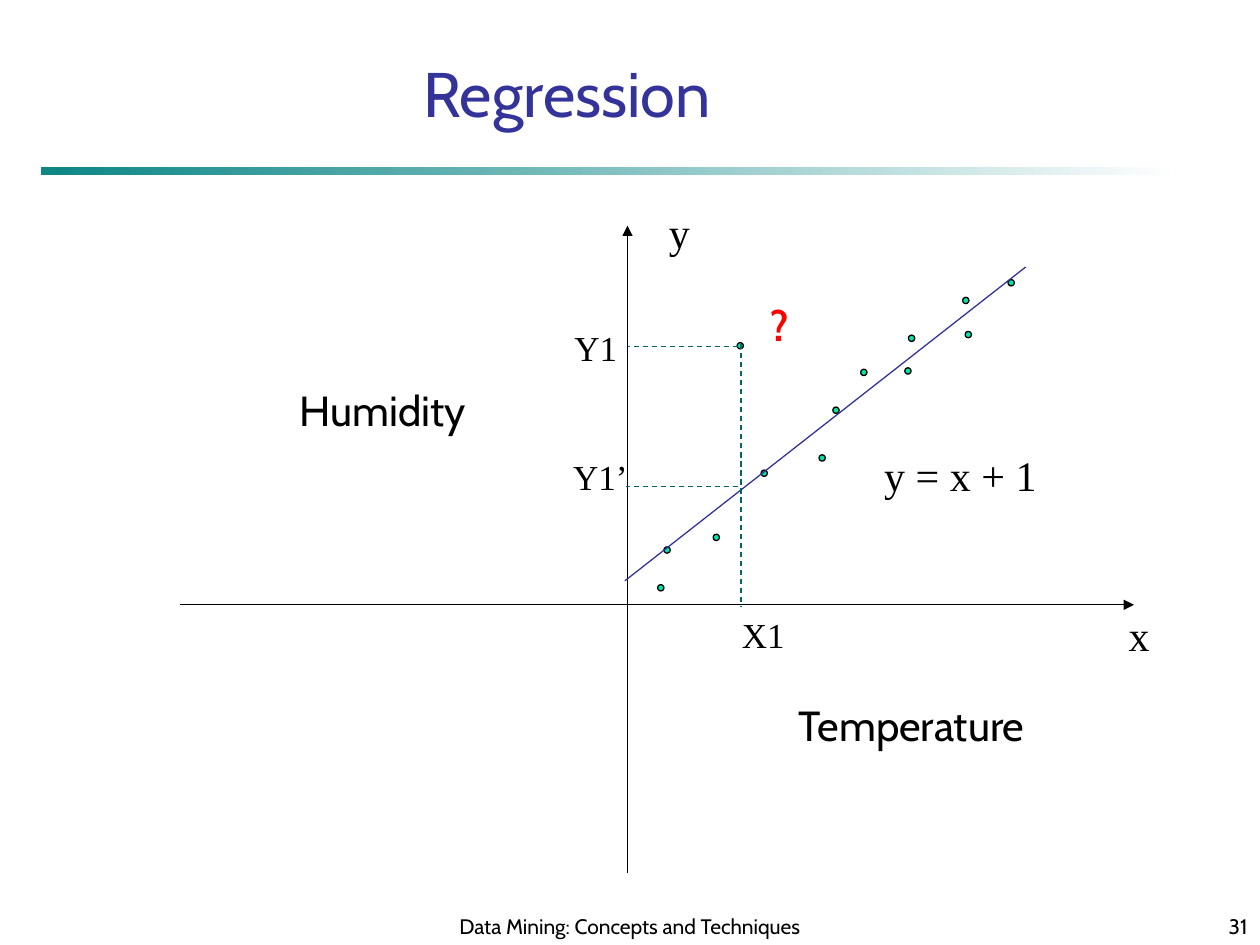
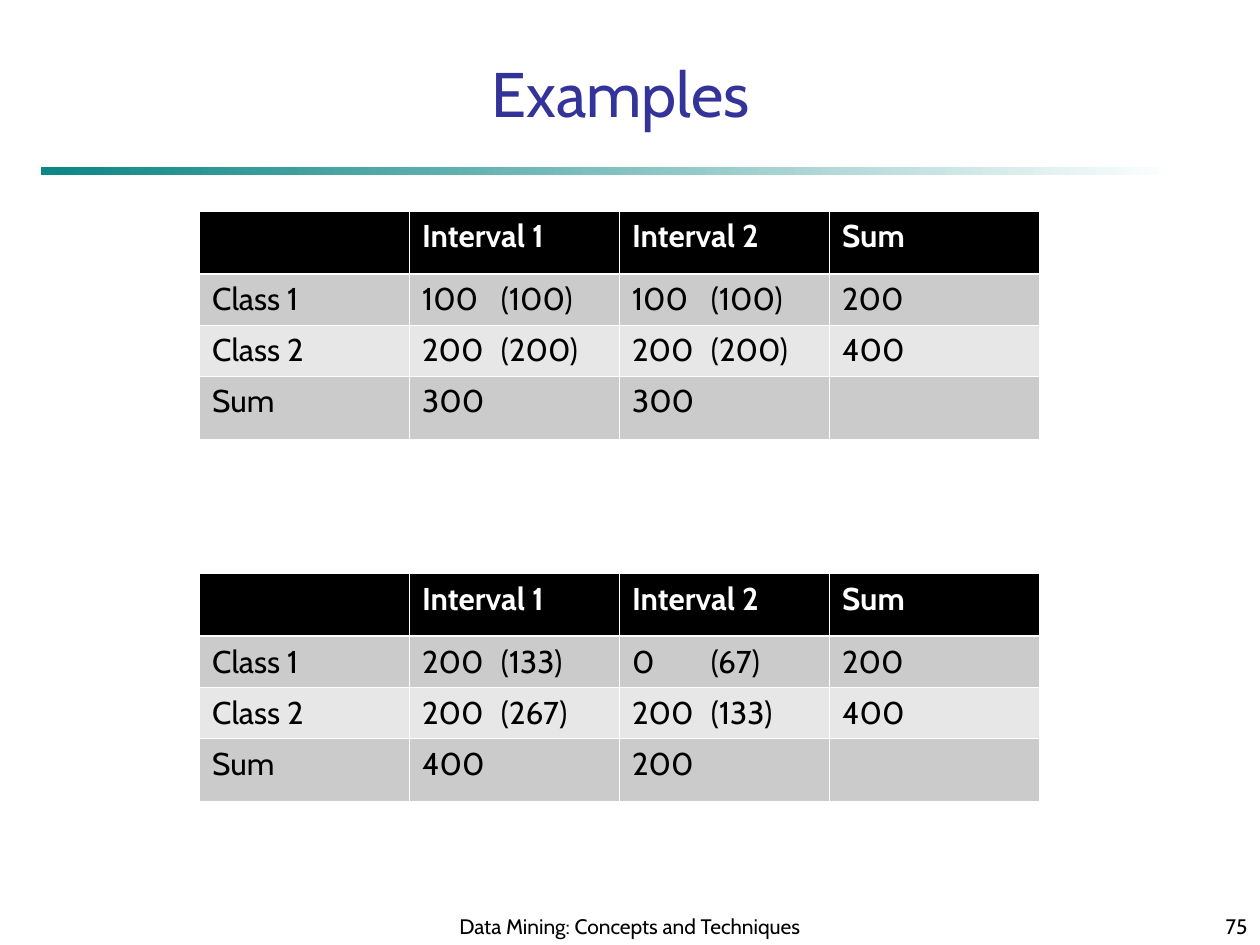
from dataclasses import dataclass

from pptx import Presentation
from pptx.dml.color import RGBColor
from pptx.enum.dml import MSO_LINE
from pptx.enum.shapes import MSO_CONNECTOR, MSO_SHAPE
from pptx.enum.text import MSO_ANCHOR, MSO_AUTO_SIZE, PP_ALIGN
from pptx.oxml.ns import qn
from pptx.oxml.xmlchemy import OxmlElement
from pptx.slide import Slide, SlideLayout
from pptx.util import Pt

STRAIGHT = MSO_CONNECTOR.STRAIGHT
RECTANGLE, OVAL = MSO_SHAPE.RECTANGLE, MSO_SHAPE.OVAL
DASH = MSO_LINE.DASH
BOTTOM = MSO_ANCHOR.BOTTOM
LEFT, CENTER, RIGHT = PP_ALIGN.LEFT, PP_ALIGN.CENTER, PP_ALIGN.RIGHT
FIXED, GROW = MSO_AUTO_SIZE.NONE, MSO_AUTO_SIZE.SHAPE_TO_FIT_TEXT

COLORS = {
    "text": "000000",
    "title": "333399",
    "band": "008080",
    "white": "FFFFFF",
    "dot": "00E4A8",
    "guide": "006666",
    "question": "FF0000",
    "header": "000000",
    "odd_row": "CBCBCB",
    "even_row": "E7E7E7",
}
SANS, SERIF = "Cabin", "Times New Roman"
FOOTER = "Data Mining: Concepts and Techniques"
HAIRLINE = 0.75

# Axes and guides of the regression plot
Y_AXIS_X, X_AXIS_Y = 358.6, 345.6
X1, Y1, Y1_FITTED = 423.4, 198, 277.9
GUIDE_START = X1 - 1.5
DOT_SIZE = 3.6
DOTS = [
    (468, 259.9), (434.9, 268.6), (421.2, 195.8), (407.5, 305.3), (475.9, 232.6),
    (491.8, 211), (379.4, 312.5), (517, 210.2), (519.1, 191.5), (551.5, 189.4),
    (375.8, 334.1), (550.1, 169.9), (576, 159.8),
]

# Contingency tables: a tab parts the observed from the expected count
TABLE_LEFT, COLUMN_WIDTH = 114, 120
ROW_HEIGHTS = [36, 29.2, 29.2, 36]
EXPECTED_STOP = 45
THIN, THICK = 0.45, 1.47
HEADINGS = ["", "Interval 1", "Interval 2", "Sum"]
CORRELATED_TOP, UNCORRELATED_TOP = 327.6, 120.5
UNCORRELATED = [
    HEADINGS,
    ["Class 1", "100\t(100)", "100\t(100)", "200"],
    ["Class 2", "200\t(200)", "200\t(200)", "400"],
    ["Sum", "300", "300", ""],
]
CORRELATED = [
    HEADINGS,
    ["Class 1", "200\t(133)", "0\t(67)", "200"],
    ["Class 2", "200\t(267)", "200\t(133)", "400"],
    ["Sum", "400", "200", ""],
]


@dataclass(frozen=True)
class Label:
    text: str
    left: float
    top: float
    width: float
    height: float = 36
    size: float = 24
    font: str = SERIF
    color: str = "text"
    bold: bool = False


@dataclass(frozen=True)
class Segment:
    start: tuple[float, float]
    end: tuple[float, float]
    color: str = "text"
    arrow: bool = False
    dashed: bool = False


SEGMENTS = [
    Segment((103, X_AXIS_Y), (648, X_AXIS_Y), arrow=True),
    Segment((Y_AXIS_X, 499), (Y_AXIS_X, 128.9), arrow=True),
    Segment((357.1, 331.9), (586.1, 152.6), "title"),
    Segment((X1, 196.6), (X1, 347), "guide", dashed=True),
    Segment((GUIDE_START, Y1), (Y_AXIS_X, Y1), "guide", dashed=True),
    Segment((GUIDE_START, Y1_FITTED), (357.8, Y1_FITTED), "guide", dashed=True),
]
LABELS = [
    Label("x", 637.9, 344.9, 26),
    Label("y", 375.1, 114.5, 26),
    Label("y = x + 1", 498.2, 253.4, 101.5),
    Label("X1", 416.9, 347, 39, 31.5, 20),
    Label("Y1", 321.1, 182.9, 39, 31.5, 20),
    Label("Y1’", 320.4, 257, 45.4, 31.5, 20),
    Label("Temperature", 449.3, 396, 162, font=SANS),
    Label("Humidity", 164.2, 216, 117.4, font=SANS),
    Label("?", 433.4, 167.8, 26, font=SANS, color="question", bold=True),
]


def rgb(name: str) -> RGBColor:
    return RGBColor.from_string(COLORS[name])


def add_run(paragraph, text: str, size: float, font: str = SANS,
            color: str = "text", bold: bool = False) -> None:
    run = paragraph.add_run()
    run.text = text
    run.font.size = Pt(size)
    run.font.name = font
    run.font.bold = bold
    run.font.color.rgb = rgb(color)


def add_band(slide: Slide, layout: SlideLayout) -> None:
    """Draw the fading band and move it to the layout all slides share."""
    band = slide.shapes.add_shape(RECTANGLE, Pt(24), Pt(95.8), Pt(648), Pt(4))
    band.shadow.inherit = False
    band.line.fill.background()
    band.fill.gradient()
    band.fill.gradient_angle = 0
    for stop, color in zip(band.fill.gradient_stops, ("band", "white")):
        stop.color.rgb = rgb(color)
    alpha = OxmlElement("a:alpha")
    alpha.set("val", "95000")
    band._element.spPr.find(".//" + qn("a:srgbClr")).append(alpha)
    layout.shapes._spTree.append(band._element)


def add_title(slide: Slide, text: str, left: float, width: float) -> None:
    title = slide.shapes.title
    title.left, title.top, title.width, title.height = Pt(left), Pt(30), Pt(width), Pt(48)
    frame = title.text_frame
    frame.auto_size = FIXED
    frame.vertical_anchor = BOTTOM
    frame.paragraphs[0].alignment = CENTER
    add_run(frame.paragraphs[0], text, 36, color="title")


def add_footer(slide: Slide, number: str) -> None:
    for text, left, width, alignment in (
        (FOOTER, 246, 228, CENTER),
        (number, 570, 150, RIGHT),
    ):
        frame = slide.shapes.add_textbox(Pt(left), Pt(510), Pt(width), Pt(30)).text_frame
        frame.word_wrap = True
        frame.vertical_anchor = BOTTOM
        frame.paragraphs[0].alignment = alignment
        add_run(frame.paragraphs[0], text, 12)


def add_segment(slide: Slide, segment: Segment) -> None:
    ends = [Pt(value) for value in (*segment.start, *segment.end)]
    connector = slide.shapes.add_connector(STRAIGHT, *ends)
    connector.line.color.rgb = rgb(segment.color)
    connector.line.width = Pt(HAIRLINE)
    if segment.dashed:
        connector.line.dash_style = DASH
    properties = connector._element.spPr
    if segment.arrow:
        head = OxmlElement("a:tailEnd")
        head.set("type", "triangle")
        properties.find(qn("a:ln")).append(head)
    properties.append(OxmlElement("a:effectLst"))


def add_dot(slide: Slide, left: float, top: float) -> None:
    dot = slide.shapes.add_shape(OVAL, Pt(left), Pt(top), Pt(DOT_SIZE), Pt(DOT_SIZE))
    dot.shadow.inherit = False
    dot.fill.solid()
    dot.fill.fore_color.rgb = rgb("dot")
    dot.line.color.rgb = rgb("text")
    dot.line.width = Pt(HAIRLINE)


def add_label(slide: Slide, label: Label) -> None:
    frame = slide.shapes.add_textbox(
        Pt(label.left), Pt(label.top), Pt(label.width), Pt(label.height)).text_frame
    frame.word_wrap = False
    frame.auto_size = GROW
    frame.paragraphs[0].alignment = LEFT
    add_run(frame.paragraphs[0], label.text, label.size, label.font, label.color, label.bold)


def set_borders(cell, top: float, bottom: float) -> None:
    properties = cell._tc.get_or_add_tcPr()
    widths = {"a:lnL": THIN, "a:lnR": THIN, "a:lnT": top, "a:lnB": bottom}
    for position, (tag, width) in enumerate(widths.items()):
        line = OxmlElement(tag)
        line.set("w", str(Pt(width)))
        fill = OxmlElement("a:solidFill")
        color = OxmlElement("a:srgbClr")
        color.set("val", COLORS["white"])
        fill.append(color)
        line.append(fill)
        properties.insert(position, line)


def add_tab_stop(paragraph, position: float) -> None:
    stops = OxmlElement("a:tabLst")
    stop = OxmlElement("a:tab")
    stop.set("pos", str(Pt(position)))
    stop.set("algn", "l")
    stops.append(stop)
    paragraph._p.get_or_add_pPr().append(stops)


def add_counts(slide: Slide, top: float, rows: list[list[str]]) -> None:
    """Add a contingency table with a black header and banded rows."""
    table = slide.shapes.add_table(
        len(rows), len(HEADINGS), Pt(TABLE_LEFT), Pt(top),
        Pt(COLUMN_WIDTH * len(HEADINGS)), Pt(sum(ROW_HEIGHTS))).table
    for column in table.columns:
        column.width = Pt(COLUMN_WIDTH)
    for r, values in enumerate(rows):
        table.rows[r].height = Pt(ROW_HEIGHTS[r])
        is_header = r == 0
        fill = "header" if is_header else "odd_row" if r % 2 else "even_row"
        for c, value in enumerate(values):
            cell = table.cell(r, c)
            set_borders(cell, THICK if r == 1 else THIN, THICK if is_header else THIN)
            cell.fill.solid()
            cell.fill.fore_color.rgb = rgb(fill)
            paragraph = cell.text_frame.paragraphs[0]
            if "\t" in value:
                add_tab_stop(paragraph, EXPECTED_STOP)
            if value:
                add_run(paragraph, value, 18,
                        color="white" if is_header else "text", bold=is_header)


def build_regression(slide: Slide) -> None:
    add_title(slide, "Regression", 72, 504)
    add_footer(slide, "31")
    for left, top in DOTS:
        add_dot(slide, left, top)
    for segment in SEGMENTS:
        add_segment(slide, segment)
    for label in LABELS:
        add_label(slide, label)


def build_examples(slide: Slide) -> None:
    add_title(slide, "Examples", 48, 613.5)
    add_footer(slide, "75")
    add_counts(slide, UNCORRELATED_TOP, UNCORRELATED)
    add_counts(slide, CORRELATED_TOP, CORRELATED)


def main() -> None:
    deck = Presentation()
    deck.slide_width, deck.slide_height = Pt(720), Pt(540)
    title_only = deck.slide_layouts[5]
    regression = deck.slides.add_slide(title_only)
    add_band(regression, title_only)
    build_regression(regression)
    build_examples(deck.slides.add_slide(title_only))
    deck.save("out.pptx")


if __name__ == "__main__":
    main()
